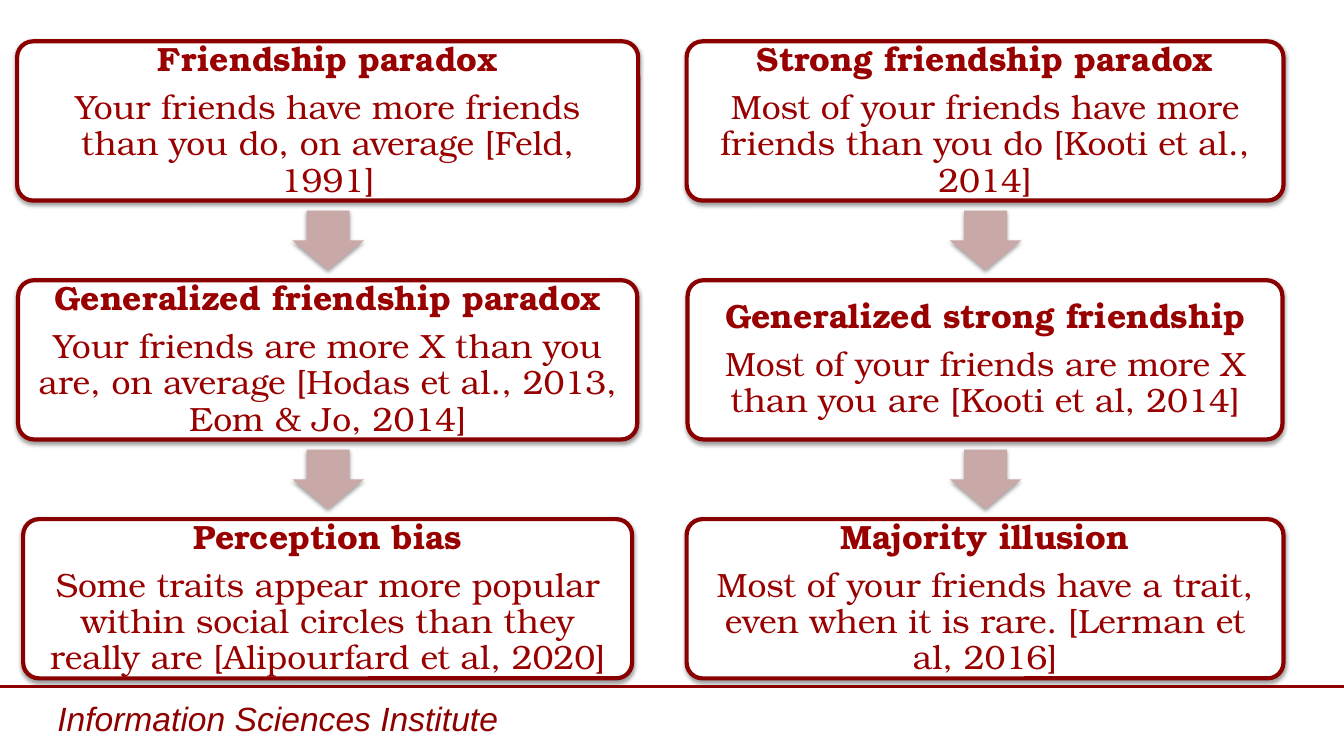
from dataclasses import dataclass

from lxml import etree
from pptx import Presentation
from pptx.dml.color import RGBColor
from pptx.enum.shapes import MSO_CONNECTOR, MSO_SHAPE
from pptx.enum.text import MSO_ANCHOR, MSO_AUTO_SIZE, PP_ALIGN
from pptx.oxml import parse_xml
from pptx.oxml.ns import nsdecls, qn
from pptx.util import Emu, Pt

PX = 9144  # 100 px to the inch


@dataclass(frozen=True)
class Theme:
    rule: str = "8E0000"
    border: str = "8A0000"
    text: str = "990000"
    card: str = "FFFFFF"
    arrow: str = "C9A8A8"
    size: int = 24
    serif: str = "TeX Gyre Bonum"
    sans: str = "Arial"


THEME = Theme()
SLIDE_W, SLIDE_H = 1333, 750
COLUMN_TOP, CARD_H, STEP = 41, 158, 237
ARROW_W, ARROW_H = 71, 59

# (centre x, [(card width, heading, statement), ...])
COLUMNS = [
    (325, [
        (616, "Friendship paradox",
         "Your friends have more friends than you do, on average [Feld, 1991]"),
        (614, "Generalized friendship paradox",
         "Your friends are more X than you are, on average "
         "[Hodas et al., 2013, Eom & Jo, 2014]"),
        (604, "Perception bias",
         "Some traits appear more popular within social circles than they "
         "really are [Alipourfard et al, 2020]"),
    ]),
    (977, [
        (592, "Strong friendship paradox",
         "Most of your friends have more friends than you do "
         "[Kooti et al., 2014]"),
        (590, "Generalized strong friendship",
         "Most of your friends are more X than you are [Kooti et al, 2014]"),
        (592, "Majority illusion",
         "Most of your friends have a trait, even when it is rare. "
         "[Lerman et al, 2016]"),
    ]),
]


def px(*lengths):
    return [Emu(n * PX) for n in lengths]


def rgb(color):
    return RGBColor.from_string(color)


def set_attrs(obj, **values):
    for name, value in values.items():
        setattr(obj, name, value)


def add_run(p, text, color, **font):
    r = p.add_run()
    r.text = text
    set_attrs(r.font, size=Pt(THEME.size), **font)
    r.font.color.rgb = rgb(color)


def add_block(shapes, kind, box, fill, adjustments):
    """Add a filled preset shape with the soft shadow used by cards and arrows."""
    sp = shapes.add_shape(kind, *px(*box))
    for i, value in enumerate(adjustments):
        sp.adjustments[i] = value
    sp.fill.solid()
    sp.fill.fore_color.rgb = rgb(fill)
    sp.line.fill.background()
    sp._element.spPr.append(parse_xml(
        f'<a:effectLst {nsdecls("a")}><a:outerShdw blurRad="40000" dist="20000" '
        'dir="5400000" rotWithShape="0"><a:srgbClr val="000000">'
        '<a:alpha val="38000"/></a:srgbClr></a:outerShdw></a:effectLst>'))
    return sp


def add_card(shapes, box, heading, statement):
    sp = add_block(shapes, MSO_SHAPE.ROUNDED_RECTANGLE, box, THEME.card, [0.1])
    sp.line.color.rgb = rgb(THEME.border)
    sp.line.width = Pt(3)
    tf = sp.text_frame
    inset = Emu(10 * PX)
    set_attrs(tf, word_wrap=True, vertical_anchor=MSO_ANCHOR.MIDDLE,
              margin_left=inset, margin_right=inset,
              margin_top=inset, margin_bottom=inset)
    head, body = tf.paragraphs[0], tf.add_paragraph()
    for p, text, bold in ((head, heading, True), (body, statement, False)):
        set_attrs(p, alignment=PP_ALIGN.CENTER, line_spacing=0.9)
        add_run(p, text, THEME.text, name=THEME.serif, bold=bold)
    body.space_before = Pt(8.4)


def add_column(slide, center, top, cards):
    """Stack cards around a centre line, with a down arrow in each gap."""
    shapes = slide.shapes.add_group_shape().shapes
    for i, (width, heading, statement) in enumerate(cards):
        y = top + i * STEP
        if i:
            gap = STEP - CARD_H
            arrow_box = (center - ARROW_W // 2, y - (gap + ARROW_H) // 2,
                         ARROW_W, ARROW_H)
            add_block(shapes, MSO_SHAPE.DOWN_ARROW, arrow_box, THEME.arrow,
                      [0.6, 0.5])
        add_card(shapes, (center - width // 2, y, width, CARD_H),
                 heading, statement)


def add_footer(slide, top, text):
    rule = slide.shapes.add_connector(MSO_CONNECTOR.STRAIGHT,
                                      *px(0, top, SLIDE_W, top))
    rule.line.color.rgb = rgb(THEME.rule)
    rule.line.width = Pt(2.25)
    etree.SubElement(rule._element.spPr, qn("a:effectLst"))
    tf = slide.shapes.add_textbox(*px(47, top + 6, 657, 51)).text_frame
    set_attrs(tf, word_wrap=True, auto_size=MSO_AUTO_SIZE.SHAPE_TO_FIT_TEXT)
    add_run(tf.paragraphs[0], text, THEME.rule, name=THEME.sans, italic=True)


def main():
    prs = Presentation()
    prs.slide_width, prs.slide_height = px(SLIDE_W, SLIDE_H)
    s = prs.slides.add_slide(prs.slide_layouts[6])
    add_footer(s, 681, "Information Sciences Institute")
    for center, cards in COLUMNS:
        add_column(s, center, COLUMN_TOP, cards)
    prs.save("out.pptx")


if __name__ == "__main__":
    main()
